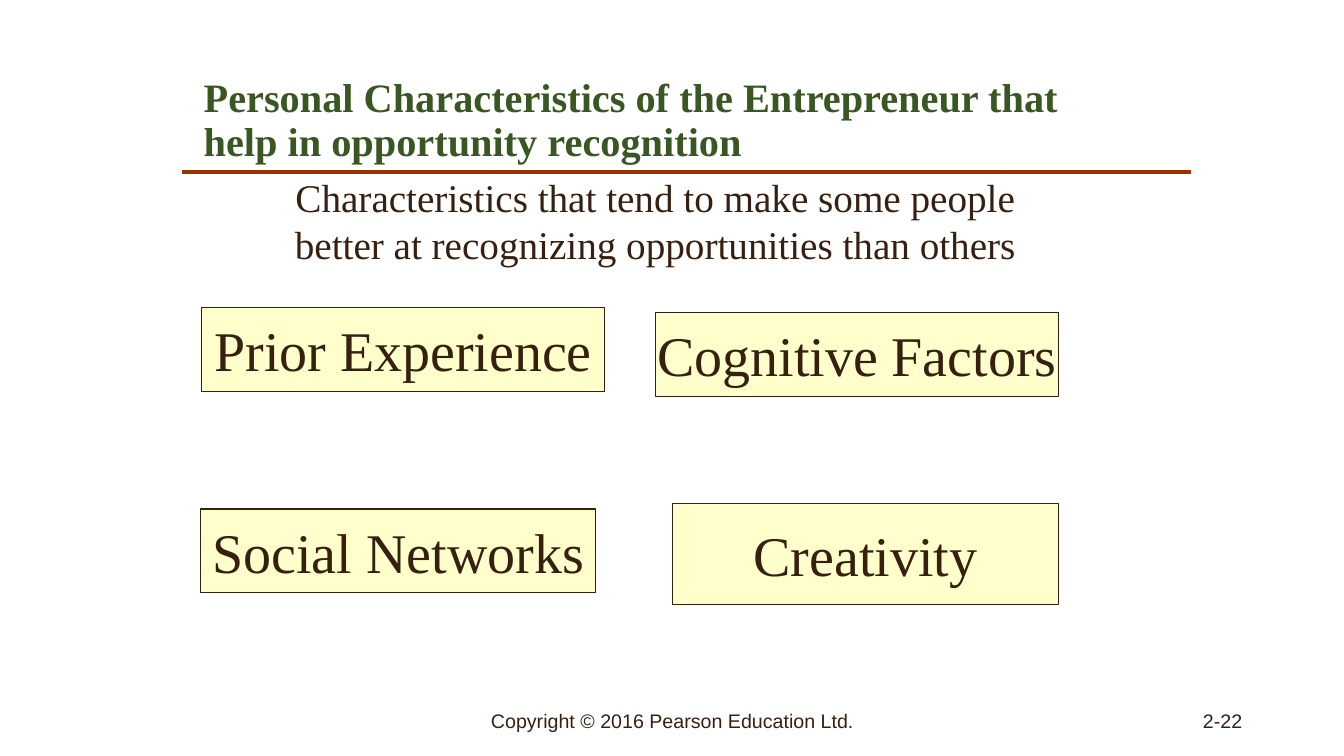
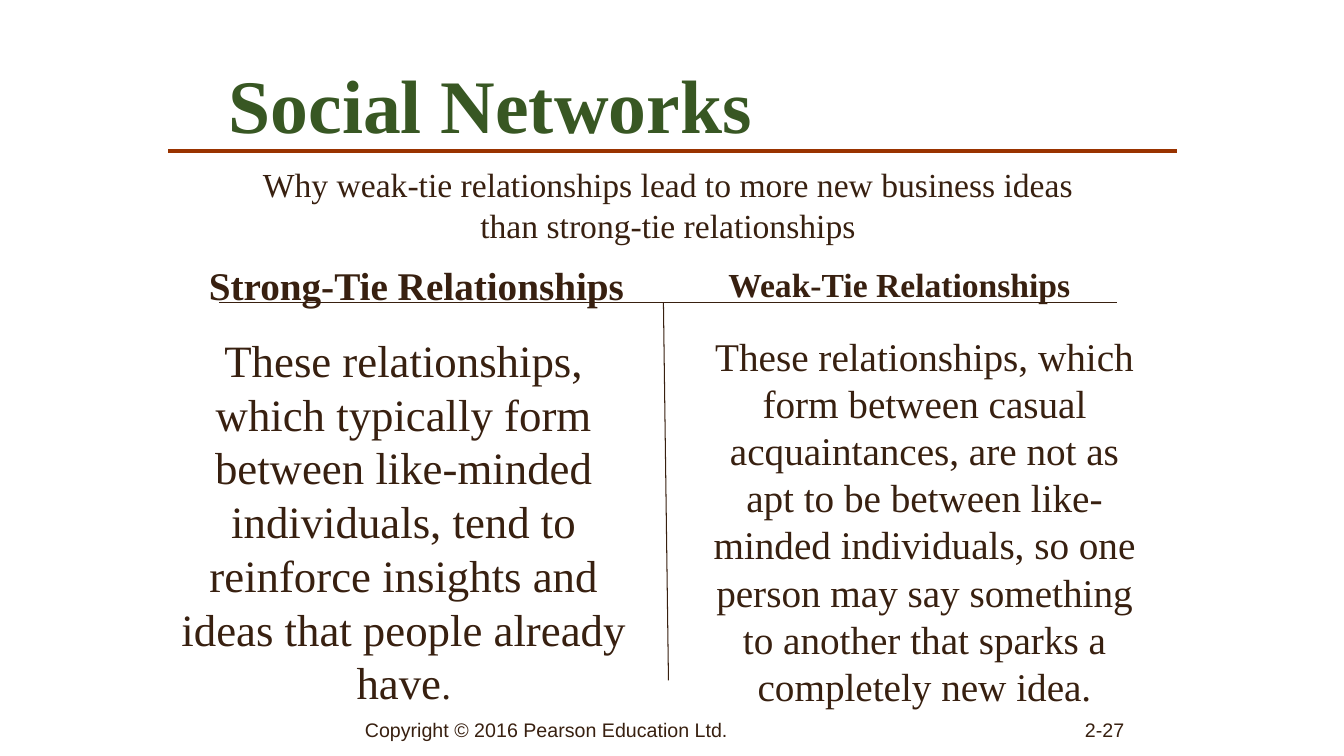
from pptx import Presentation
from pptx.dml.color import RGBColor
from pptx.enum.shapes import MSO_CONNECTOR as Conn, MSO_SHAPE as Shape
from pptx.enum.text import MSO_ANCHOR as Anchor, MSO_AUTO_SIZE as Fit, PP_ALIGN as Align
from pptx.oxml.ns import qn
from pptx.util import Inches, Pt
from lxml.etree import SubElement

GREEN = RGBColor(0x38, 0x57, 0x23)
BROWN = RGBColor(0x38, 0x20, 0x10)
RUST = RGBColor(0x99, 0x33, 0x00)
CREAM = RGBColor(0xFF, 0xFF, 0xCC)
SERIF, SANS = "Times New Roman", "Arial"


class Deck:
    """Hold the shared style and the slide being built."""

    def __init__(self):
        self.prs = Presentation()
        self.prs.slide_width, self.prs.slide_height = Inches(13.33), Inches(7.5)
        self.slide = None

    def label(self, shape, text, size, align=Align.CENTER, anchor=Anchor.TOP,
              face=SERIF, color=BROWN, bold=False, wrap=True):
        frame = shape.text_frame
        frame.word_wrap = wrap
        frame.auto_size = Fit.NONE
        frame.vertical_anchor = anchor
        para = frame.paragraphs[0]
        para.add_run().text = text
        para.alignment = align
        para.space_before = Pt(0)
        font = para.font
        font.name, font.size, font.bold = face, Pt(size), bold
        font.color.rgb = color
        return para

    def start(self, title, at, size, rule):
        self.slide = self.prs.slides.add_slide(self.prs.slide_layouts[5])
        head = self.slide.shapes.title
        head.left, head.top, head.width, head.height = map(Inches, at)
        para = self.label(head, title, size, Align.LEFT, Anchor.MIDDLE,
                          color=GREEN, bold=True)
        para.line_spacing = 0.9
        left, top = rule
        self.line(left, top, left + 10, top, RUST, 3)

    def text(self, text, at, size, **style):
        box = self.slide.shapes.add_textbox(*map(Inches, at))
        return self.label(box, text, size, **style)

    def box(self, text, at):
        rect = self.slide.shapes.add_shape(Shape.RECTANGLE, *map(Inches, at))
        rect.shadow.inherit = False
        rect.fill.solid()
        rect.fill.fore_color.rgb = CREAM
        rect.line.color.rgb = BROWN
        rect.line.width = Pt(0.75)
        self.label(rect, text, 40, anchor=Anchor.MIDDLE, wrap=False)

    def line(self, x1, y1, x2, y2, color=BROWN, width=0.75):
        ends = map(Inches, (x1, y1, x2, y2))
        line = self.slide.shapes.add_connector(Conn.STRAIGHT, *ends)
        line.line.color.rgb = color
        line.line.width = Pt(width)
        SubElement(line._element.spPr, qn("a:effectLst"))

    def footer(self, number, note, page):
        self.text("Copyright © 2016 Pearson Education Ltd.", note, 14,
                  anchor=Anchor.MIDDLE, face=SANS)
        self.text(number, page, 14, align=Align.RIGHT, anchor=Anchor.MIDDLE, face=SANS)


def traits(deck):
    deck.start("Personal Characteristics of the Entrepreneur that "
               "help in opportunity recognition",
               (1.92, 0.79, 9.5, 0.83), 28.8, (1.81, 1.71))
    deck.text("Characteristics that tend to make some people better at "
              "recognizing opportunities than others", (2.75, 1.67, 7.5, 1.04), 28)
    for name, at in (
        ("Prior Experience", (2, 3.05, 4, 0.83)),
        ("Cognitive Factors", (6.5, 3.1, 4, 0.83)),
        ("Social Networks", (1.99, 5.05, 3.92, 0.83)),
        ("Creativity", (6.67, 5, 3.83, 1)),
    ):
        deck.box(name, at)
    deck.footer("2-22", (4.42, 6.95, 4.5, 0.4), (9.42, 6.95, 3, 0.4))


def ties(deck):
    deck.start("Social Networks", (2.17, 0.75, 9.25, 0.67), 54, (1.67, 1.5))
    deck.line(2.17, 3, 11.08, 3)
    deck.text("Strong-Tie Relationships", (1.92, 2.54, 4.42, 0.57), 28, bold=True)
    deck.text("Weak-Tie Relationships", (6.86, 2.57, 4.12, 0.51), 24, bold=True)
    strong = deck.text("These relationships, which typically form between like-minded "
                       "individuals, tend to reinforce insights and ideas that people "
                       "already have", (1.67, 3.25, 4.67, 3.87), 32)
    stop = strong.add_run()
    stop.text = "."
    stop.font.size = Pt(28)
    deck.text("These relationships, which form between casual acquaintances, are not "
              "as apt to be between like-minded individuals, so one person may say "
              "something to another that sparks a completely new idea.",
              (6.92, 3.25, 4.5, 3.87), 28)
    deck.line(6.58, 3, 6.63, 6.75)
    deck.text("Why weak-tie relationships lead to more new business ideas than "
              "strong-tie relationships", (2.5, 1.58, 8.25, 0.91), 24)
    deck.footer("2-27", (2.17, 7.12, 6.5, 0.23), (8.92, 7.12, 2.33, 0.23))


def main():
    deck = Deck()
    traits(deck)
    ties(deck)
    deck.prs.save("out.pptx")


if __name__ == "__main__":
    main()
